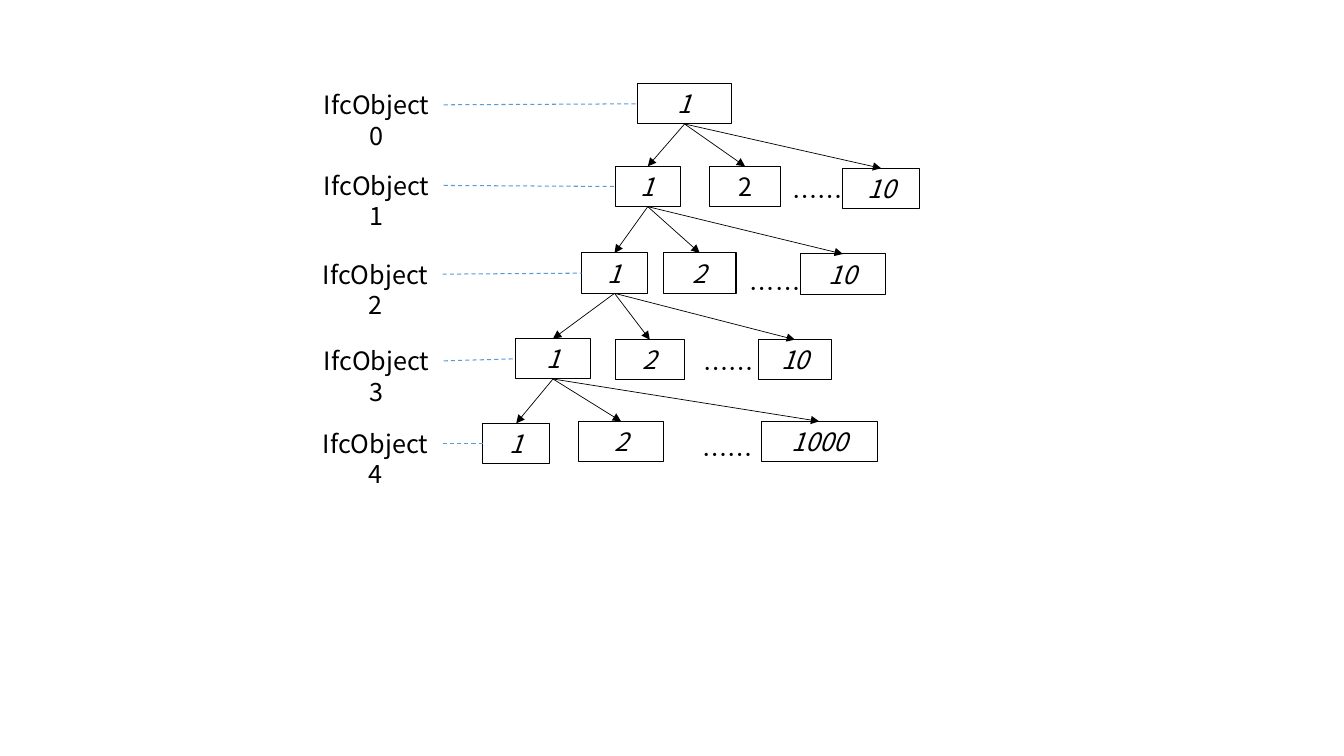
from lxml import etree
from pptx import Presentation
from pptx.dml.color import RGBColor
from pptx.enum.dml import MSO_LINE
from pptx.enum.shapes import MSO_CONNECTOR, MSO_SHAPE
from pptx.enum.text import MSO_ANCHOR, MSO_AUTO_SIZE, PP_ALIGN
from pptx.oxml.ns import qn
from pptx.util import Inches, Pt

RECTANGLE = MSO_SHAPE.RECTANGLE
STRAIGHT = MSO_CONNECTOR.STRAIGHT
DASH = MSO_LINE.DASH
TOP, MIDDLE = MSO_ANCHOR.TOP, MSO_ANCHOR.MIDDLE
LEFT, CENTER = PP_ALIGN.LEFT, PP_ALIGN.CENTER
NO_AUTOFIT = MSO_AUTO_SIZE.NONE

# Each node is (text, left, top, width); dots are (left, top).
LEVELS = [
    {"label": ("IfcObject0", 3.07, 0.84), "dots": None,
     "nodes": [("1", 6.32, 0.83, 0.94)]},
    {"label": ("IfcObject1", 3.07, 1.64), "dots": (7.76, 1.75),
     "nodes": [("1", 6.1, 1.65, 0.65), ("2", 7.04, 1.65, 0.7), ("10", 8.36, 1.67, 0.76)]},
    {"label": ("IfcObject2", 3.06, 2.52), "dots": (7.34, 2.66),
     "nodes": [("1", 5.77, 2.51, 0.65), ("2", 6.58, 2.51, 0.72), ("10", 7.94, 2.52, 0.84)]},
    {"label": ("IfcObject3", 3.07, 3.38), "dots": (6.88, 3.46),
     "nodes": [("1", 5.11, 3.36, 0.75), ("2", 6.1, 3.37, 0.69), ("10", 7.52, 3.37, 0.73)]},
    {"label": ("IfcObject4", 3.06, 4.2), "dots": (6.87, 4.31),
     "nodes": [("1", 4.79, 4.2, 0.66), ("2", 5.74, 4.18, 0.84), ("1000", 7.55, 4.18, 1.15)]},
]
UPRIGHT_NODE = (1, "2")
DOTS = "……"
HEIGHT, LABEL_WIDTH, DOTS_WIDTH = 0.4, 1.33, 0.73
COLORS = {"ink": "000000", "guide": "5B9BD5"}
FONT = {"name": "Noto Sans CJK SC", "size": Pt(18)}
# Connection sites of a rectangle
SITE_TOP, SITE_LEFT, SITE_BOTTOM, SITE_RIGHT = range(4)


def color(name):
    return RGBColor.from_string(COLORS[name])


def write(box, text, alignment, anchor, italic=False):
    frame = box.text_frame
    settings = {"word_wrap": True, "auto_size": NO_AUTOFIT, "vertical_anchor": anchor}
    for key, value in settings.items():
        setattr(frame, key, value)
    para = frame.paragraphs[0]
    para.alignment = alignment
    span = para.add_run()
    span.text = text
    for key, value in {**FONT, "italic": italic}.items():
        setattr(span.font, key, value)
    span.font.color.rgb = color("ink")


def add_text(page, text, left, top, width, alignment):
    box = page.shapes.add_textbox(Inches(left), Inches(top), Inches(width), Inches(HEIGHT))
    write(box, text, alignment, TOP)
    return box


def add_node(page, text, left, top, width, italic):
    box = page.shapes.add_shape(
        RECTANGLE, Inches(left), Inches(top), Inches(width), Inches(HEIGHT))
    box.shadow.inherit = False
    box.fill.background()
    box.line.color.rgb = color("ink")
    box.line.width = Pt(0.75)
    write(box, text, CENTER, MIDDLE, italic)
    return box


def connect(page, start, start_site, end, end_site, color_name, width):
    link = page.shapes.add_connector(STRAIGHT, 0, 0, 0, 0)
    link.begin_connect(start, start_site)
    link.end_connect(end, end_site)
    link.line.color.rgb = color(color_name)
    link.line.width = Pt(width)
    etree.SubElement(link._element.spPr, qn("a:effectLst"))
    return link


def add_arrow(page, parent, child):
    arrow = connect(page, parent, SITE_BOTTOM, child, SITE_TOP, "ink", 0.5)
    etree.SubElement(arrow.line._get_or_add_ln(), qn("a:tailEnd"), type="triangle")


def add_guide(page, label, node):
    guide = connect(page, label, SITE_RIGHT, node, SITE_LEFT, "guide", 0.75)
    guide.line.dash_style = DASH


def main():
    deck = Presentation()
    deck.slide_width, deck.slide_height = Inches(13.33), Inches(7.5)
    page = deck.slides.add_slide(deck.slide_layouts[6])

    parent = None
    for depth, level in enumerate(LEVELS):
        nodes = [add_node(page, *node, italic=(depth, node[0]) != UPRIGHT_NODE)
                 for node in level["nodes"]]
        if level["dots"]:
            add_text(page, DOTS, *level["dots"], DOTS_WIDTH, LEFT)
        if parent:
            for child in nodes:
                add_arrow(page, parent, child)
        parent = nodes[0]
        label = add_text(page, *level["label"], LABEL_WIDTH, CENTER)
        add_guide(page, label, parent)

    deck.save("out.pptx")


if __name__ == "__main__":
    main()
